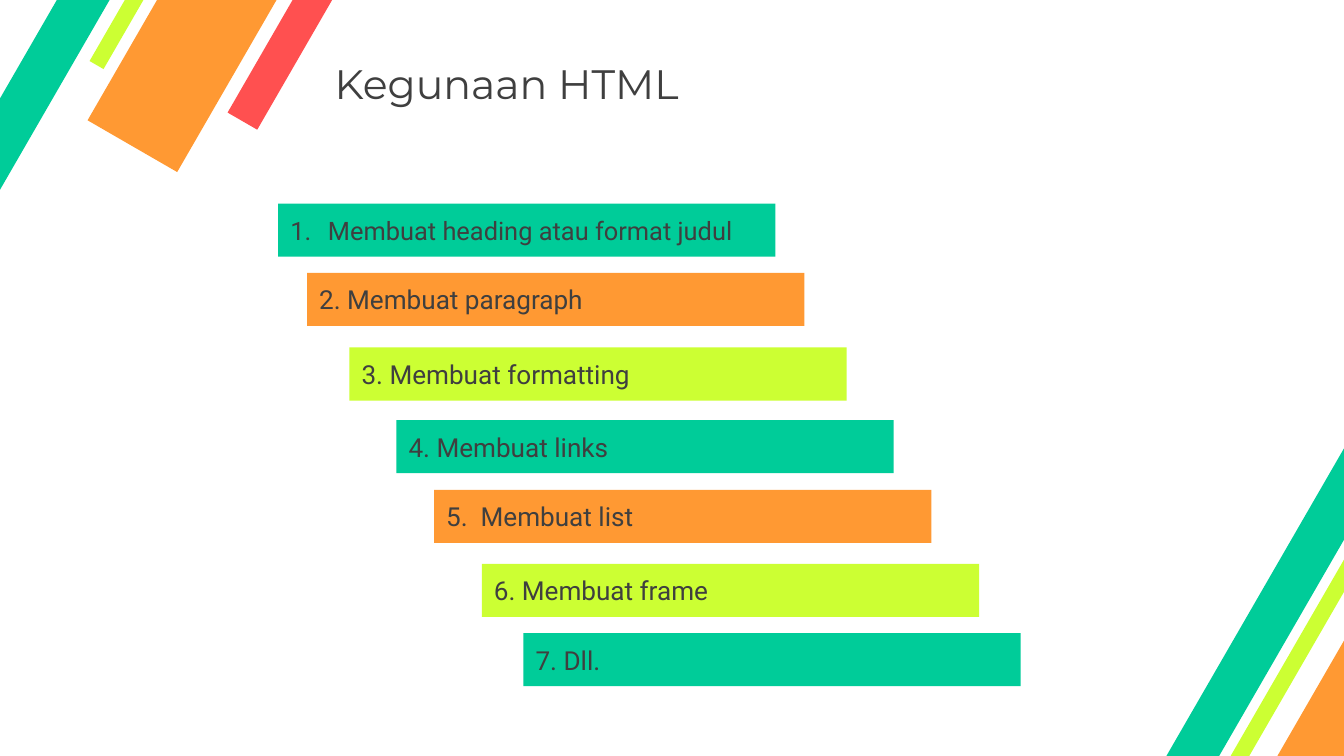
from dataclasses import dataclass

from lxml.etree import SubElement
from pptx import Presentation
from pptx.dml.color import RGBColor
from pptx.enum.shapes import MSO_SHAPE
from pptx.enum.text import MSO_ANCHOR, PP_ALIGN
from pptx.oxml.ns import qn
from pptx.util import Inches, Pt


@dataclass(frozen=True)
class Theme:
    green: str = "00CC99"
    orange: str = "FF9933"
    lime: str = "CCFF33"
    red: str = "FF5050"
    ink: str = "3F3F3F"
    head_font: str = "Montserrat"
    body_font: str = "Roboto"
    head_size: float = 44
    first_size: float = 27.2
    body_size: float = 28


class Deck:
    def __init__(self, theme):
        self.theme = theme
        self.prs = Presentation()
        self.prs.slide_width = Inches(20)
        self.prs.slide_height = Inches(11.25)
        self.slide = self.prs.slides.add_slide(self.prs.slide_layouts[6])

    def block(self, box, color):
        shape = self.slide.shapes.add_shape(
            MSO_SHAPE.RECTANGLE, *map(Inches, box))
        shape.shadow.inherit = False
        shape.fill.solid()
        shape.fill.fore_color.rgb = RGBColor.from_string(color)
        shape.line.fill.background()
        return shape

    def stripe(self, box, color):
        self.block(box, color).rotation = 300

    def label(self, shape, text, font, size):
        """Put one left-aligned, vertically centred line into a shape."""
        frame = shape.text_frame
        form = {
            "word_wrap": True,
            "vertical_anchor": MSO_ANCHOR.MIDDLE,
            "margin_left": Inches(0.18),
            "margin_right": Inches(0.18),
            "margin_top": Inches(0.09),
            "margin_bottom": Inches(0.09),
        }
        for name, value in form.items():
            setattr(frame, name, value)
        para = frame.paragraphs[0]
        para.alignment = PP_ALIGN.LEFT
        run = para.add_run()
        run.text = text
        for name, value in {"name": font, "size": Pt(size)}.items():
            setattr(run.font, name, value)
        run.font.color.rgb = RGBColor.from_string(self.theme.ink)
        return para

    def title(self, box, text):
        shape = self.slide.shapes.add_textbox(*map(Inches, box))
        self.label(shape, text, self.theme.head_font, self.theme.head_size)

    def bar(self, box, color, text, size):
        shape = self.block(box, color)
        para = self.label(shape, text, self.theme.body_font, size)
        para.space_before = Pt(size * 0.2)
        return para

    def number(self, para, indent):
        """Give a paragraph an automatic number with a hanging indent."""
        props = para._p.get_or_add_pPr()
        props.set("marL", str(Inches(indent)))
        props.set("indent", str(-Inches(indent)))
        SubElement(props, qn("a:buFont"), typeface="+mj-lt")
        SubElement(props, qn("a:buAutoNum"), type="arabicPeriod")


def main():
    theme = Theme()
    deck = Deck(theme)

    stripes = [
        (-1.42, -7.16, 20.11, 0.51, theme.red),
        (-3.05, -7.29, 20.08, 1.54, theme.orange),
        (-3.59, -7.86, 20.11, 0.24, theme.lime),
        (-5.83, -5.47, 20.06, 0.68, theme.green),
        (13.68, 3.86, 20.08, 1.54, theme.orange),
        (12.9, 3.33, 20.11, 0.24, theme.lime),
        (10.71, 5.73, 20.06, 0.68, theme.green),
    ]
    for *box, color in stripes:
        deck.stripe(box, color)

    deck.title((4.8, 0.69, 14.96, 1.08), "Kegunaan HTML")

    colors = (theme.green, theme.orange, theme.lime)
    uses = [
        (4.14, 3.03, "Membuat heading atau format judul"),
        (4.57, 4.06, "2. Membuat paragraph"),
        (5.2, 5.17, "3. Membuat formatting"),
        (5.9, 6.25, "4. Membuat links"),
        (6.46, 7.29, "5.  Membuat list"),
        (7.17, 8.39, "6. Membuat frame"),
        (7.79, 9.42, "7. Dll."),
    ]
    for i, (left, top, text) in enumerate(uses):
        size = theme.body_size if i else theme.first_size
        para = deck.bar((left, top, 7.4, 0.79), colors[i % 3], text, size)
        if i == 0:
            deck.number(para, 0.56)

    deck.prs.save("out.pptx")


if __name__ == "__main__":
    main()
